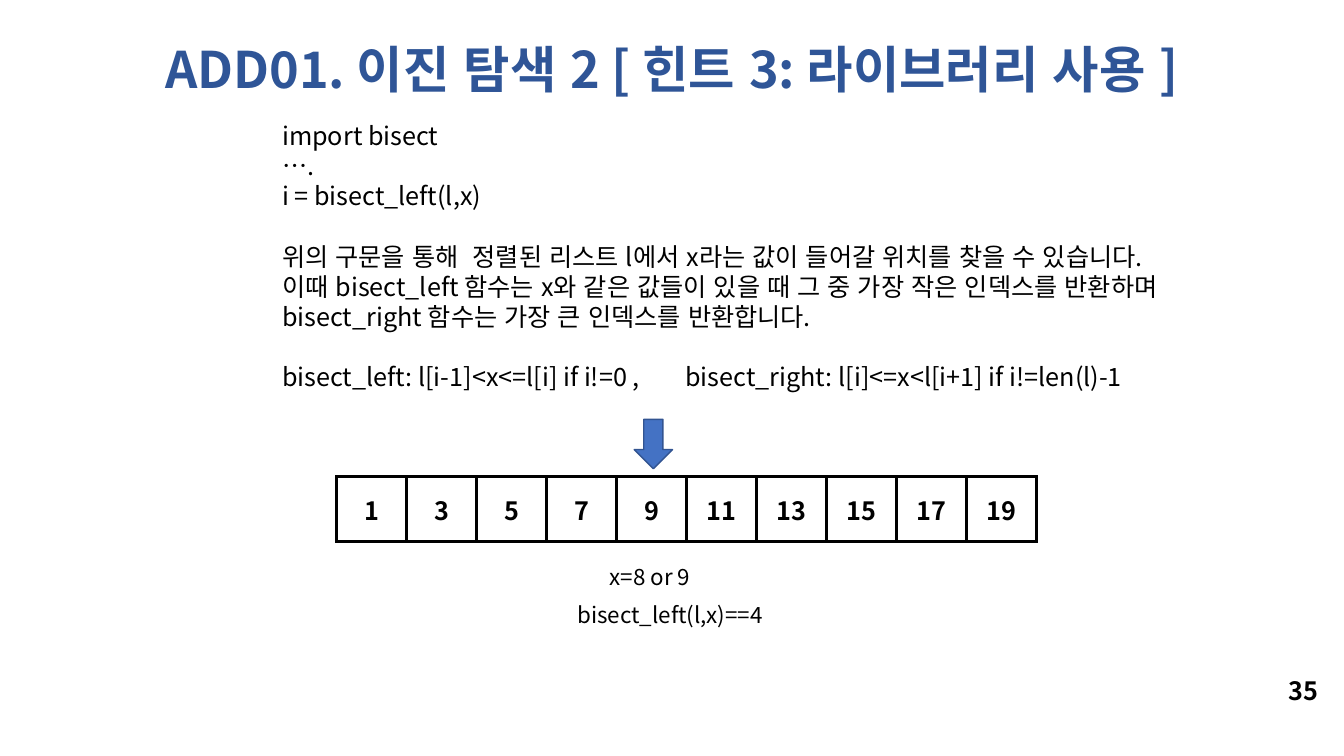
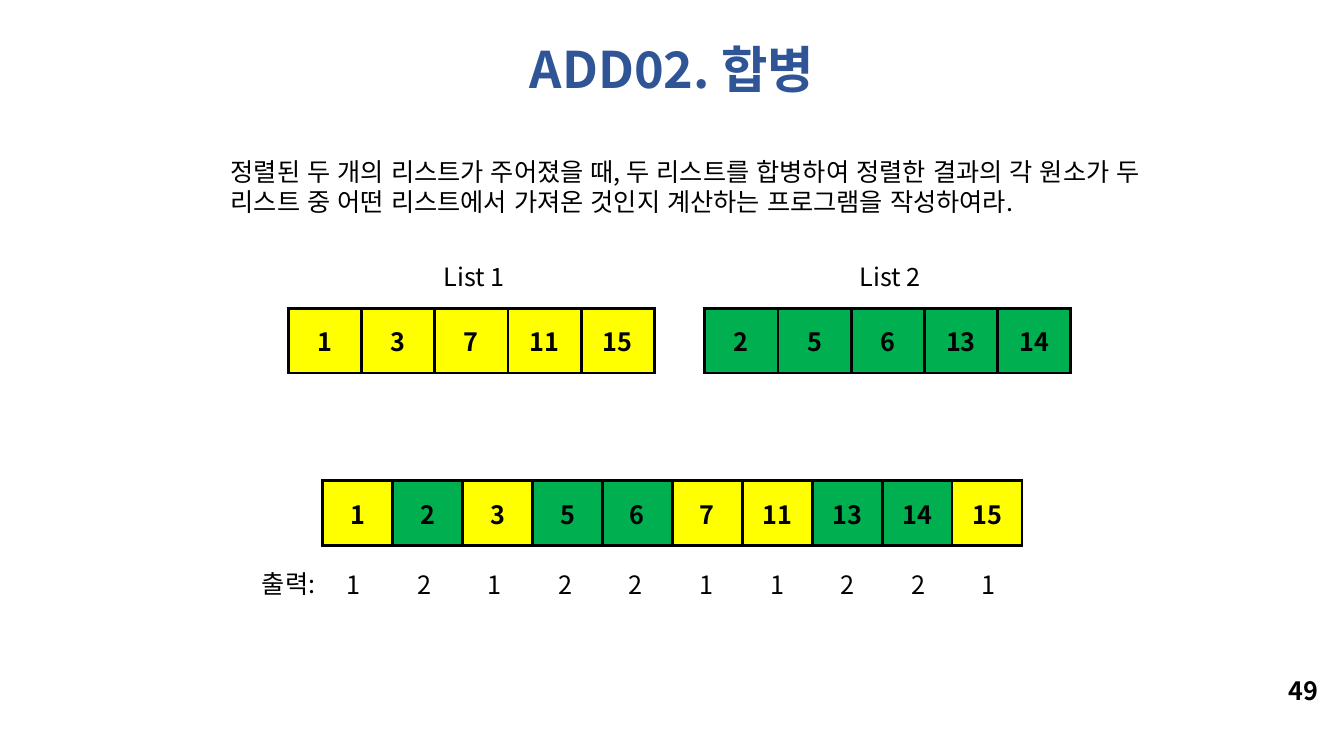
from lxml import etree
from pptx import Presentation
from pptx.dml.color import RGBColor
from pptx.enum import shapes, text
from pptx.oxml import ns
from pptx.util import Inches, Pt

FONT = "Noto Sans CJK KR"
LINE_RATIO = 1.2
BLACK = RGBColor(0x00, 0x00, 0x00)
WHITE = RGBColor(0xFF, 0xFF, 0xFF)
TITLE_BLUE = RGBColor(0x2F, 0x55, 0x97)
ARROW_BLUE = RGBColor(0x44, 0x72, 0xC4)
ARROW_EDGE = RGBColor(0x32, 0x54, 0x91)
YELLOW = RGBColor(0xFF, 0xFF, 0x00)
GREEN = RGBColor(0x00, 0xB0, 0x50)

WIDTH, HEIGHT = 13.33, 7.5
ROW_HEIGHT = 0.64
LONG_ROW = 6.94
SHORT_ROW = 3.63


class LessonDeck:
    """Holds the shared style and the slide being filled."""

    def __init__(self):
        self.deck = Presentation()
        self.deck.slide_width = Inches(WIDTH)
        self.deck.slide_height = Inches(HEIGHT)
        self.page = None

    def new_page(self, title, number):
        self.page = self.deck.slides.add_slide(self.deck.slide_layouts[6])
        self.text([number], 12.68, 6.65, 0.53, 0.4, bold=True, wrap=False)
        self.text([title], 0, 0.33, WIDTH, 0.72, size=36, color=TITLE_BLUE,
                  bold=True, align=text.PP_ALIGN.CENTER)

    def style(self, para, size=18, color=BLACK, bold=False,
              align=text.PP_ALIGN.LEFT):
        """Sets Korean text without pair kerning, which narrows its spaces."""
        para.alignment = align
        font = para.font
        font.size, font.bold, font.name = Pt(size), bold, FONT
        font.color.rgb = color
        properties = para._p.get_or_add_pPr().find(ns.qn("a:defRPr"))
        properties.set("lang", "ko-KR")
        properties.set("kern", "0")
        etree.SubElement(properties, ns.qn("a:ea"), typeface=FONT)

    def text(self, lines, left, top, width, height, size=18, wrap=True,
             gaps=(), **style):
        """Adds a text box; gaps lists the lines preceded by one line of space."""
        box = self.page.shapes.add_textbox(
            Inches(left), Inches(top), Inches(width), Inches(height))
        frame = box.text_frame
        frame.word_wrap = wrap
        for index, line in enumerate(lines):
            para = frame.paragraphs[0] if index == 0 else frame.add_paragraph()
            para.text = line
            para.line_spacing = Pt(size * LINE_RATIO)
            self.style(para, size, **style)
            if index in gaps:
                para.space_before = para.line_spacing

    def number_row(self, values, fills, left, top, width):
        """Adds a one-row table with one fill per value."""
        table = self.page.shapes.add_table(
            1, len(values), Inches(left), Inches(top),
            Inches(width), Inches(ROW_HEIGHT)).table
        table.first_row = table.horz_banding = False
        for column, (value, fill) in enumerate(zip(values, fills)):
            table.columns[column].width = Inches(width / len(values))
            cell = table.cell(0, column)
            cell.text = str(value)
            cell.vertical_anchor = text.MSO_ANCHOR.MIDDLE
            self.style(cell.text_frame.paragraphs[0], bold=True,
                       align=text.PP_ALIGN.CENTER)
            self.cell_borders(cell)
            cell.fill.solid()
            cell.fill.fore_color.rgb = fill

    def cell_borders(self, cell):
        properties = cell._tc.get_or_add_tcPr()
        for side in ("lnL", "lnR", "lnT", "lnB"):
            line = etree.SubElement(properties, ns.qn("a:" + side),
                                    w=str(Pt(2.25)))
            fill = etree.SubElement(line, ns.qn("a:solidFill"))
            etree.SubElement(fill, ns.qn("a:srgbClr"), val=str(BLACK))

    def down_arrow(self, left, top, width, height):
        arrow = self.page.shapes.add_shape(
            shapes.MSO_SHAPE.DOWN_ARROW,
            Inches(left), Inches(top), Inches(width), Inches(height))
        arrow.shadow.inherit = False
        arrow.fill.solid()
        arrow.fill.fore_color.rgb = ARROW_BLUE
        arrow.line.color.rgb = ARROW_EDGE
        arrow.line.width = Pt(1)


def library_hint(lesson):
    lesson.new_page("ADD01. 이진 탐색 2 [ 힌트 3: 라이브러리 사용 ]", "35")
    lesson.text([
        "import bisect",
        "….",
        "i = bisect_left(l,x)",
        "위의 구문을 통해  정렬된 리스트 l에서 x라는 값이 들어갈 위치를 찾을 수 있습니다.",
        "이때 bisect_left 함수는 x와 같은 값들이 있을 때 그 중 가장 작은 인덱스를 반환하며",
        "bisect_right 함수는 가장 큰 인덱스를 반환합니다.",
        "bisect_left: l[i-1]<x<=l[i] if i!=0 ,\tbisect_right: l[i]<=x<l[i+1] if i!=len(l)-1",
    ], 2.7, 1.14, 10.36, 3.43, gaps=(3, 6))
    lesson.number_row(range(1, 20, 2), [WHITE] * 10, 3.34, 4.73, LONG_ROW)
    lesson.down_arrow(6.29, 4.16, 0.38, 0.49)
    lesson.text(["x=8 or 9"], 5.95, 5.54, 1.44, 0.37, size=16)
    lesson.text(["bisect_left(l,x)==4"], 5.63, 5.91, 2.36, 0.37, size=16)


def merge_task(lesson):
    lesson.new_page("ADD02. 합병", "49")
    lesson.text([
        "정렬된 두 개의 리스트가 주어졌을 때, 두 리스트를 합병하여 정렬한 결과의 각 원소가 두\v"
        "리스트 중 어떤 리스트에서 가져온 것인지 계산하는 프로그램을 작성하여라.",
    ], 2.19, 1.5, 9.95, 0.71)

    lists = {1: [1, 3, 7, 11, 15], 2: [2, 5, 6, 13, 14]}
    fills = {1: YELLOW, 2: GREEN}
    lefts = {1: 2.86, 2: 6.99}
    for name, values in lists.items():
        lesson.text([f"List {name}"], lefts[name] + 1.44, 2.54, 0.86, 0.4)
        lesson.number_row(values, [fills[name]] * len(values),
                          lefts[name], 3.06, SHORT_ROW)

    merged = sorted((value, name) for name, values in lists.items()
                    for value in values)
    lesson.number_row([value for value, _ in merged],
                      [fills[name] for _, name in merged], 3.2, 4.77, LONG_ROW)
    lesson.text(["출력:"], 2.5, 5.59, 0.84, 0.4)
    for index, (_, name) in enumerate(merged):
        lesson.text([str(name)], 3.34 + 0.7 * index, 5.6, 0.36, 0.4)


def main():
    lesson = LessonDeck()
    library_hint(lesson)
    merge_task(lesson)
    lesson.deck.save("out.pptx")


if __name__ == "__main__":
    main()
